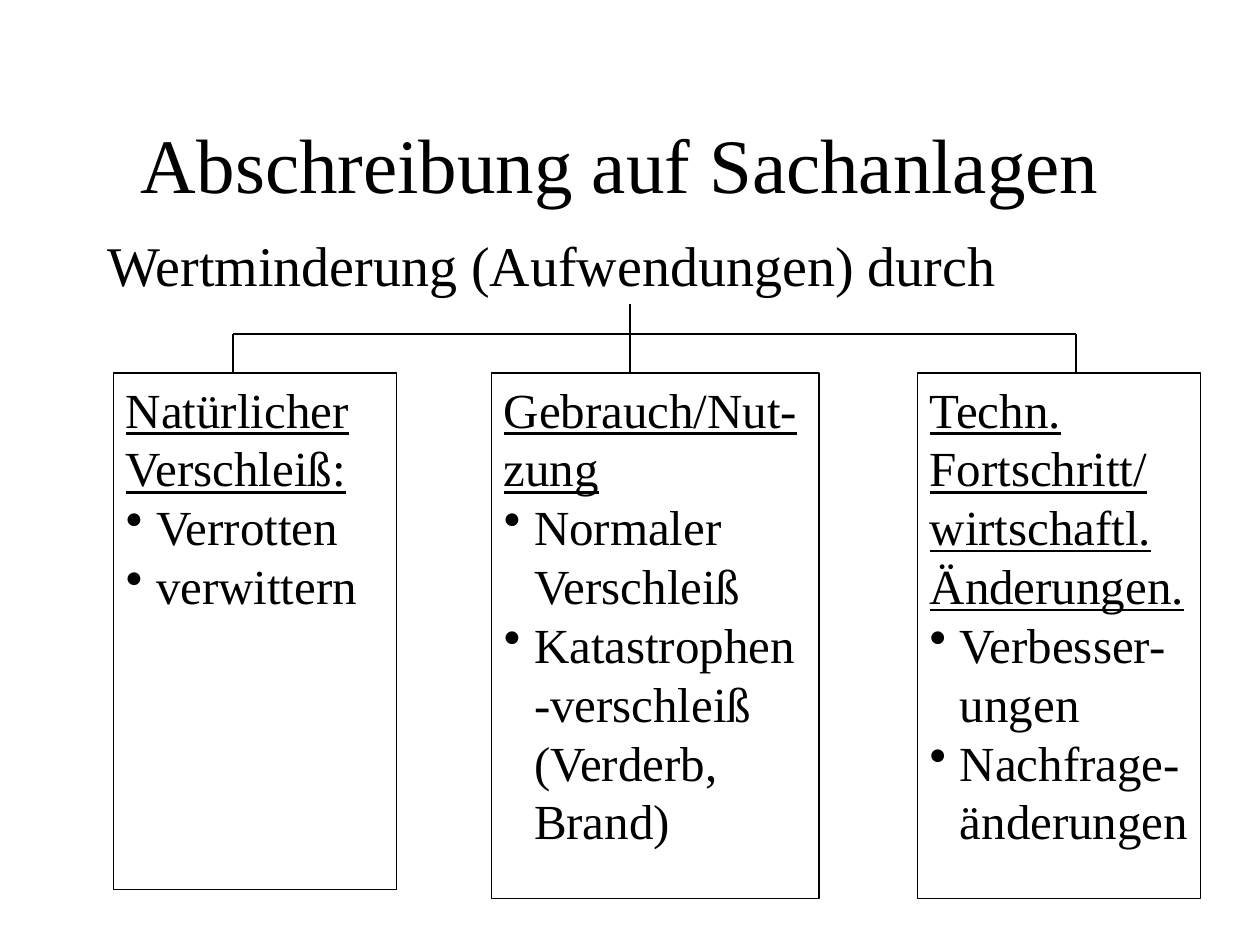
from pptx import Presentation
from pptx.dml.color import RGBColor
from pptx.enum.shapes import MSO_CONNECTOR, MSO_SHAPE
from pptx.enum.text import MSO_ANCHOR, PP_ALIGN
from pptx.oxml.ns import qn
from pptx.util import Inches, Pt
from lxml.etree import SubElement

BLACK = RGBColor(0, 0, 0)
WHITE = RGBColor(255, 255, 255)

BOX_TOP = 2.96
BRANCH_TOP = 2.65
STEM_TOP = 2.41

# left, width, height, heading, causes
CAUSE_BOXES = [
    (0.9, 2.25, 4.1, "Natürlicher Verschleiß:", ["Verrotten", "verwittern"]),
    (3.9, 2.6, 4.17, "Gebrauch/Nut-zung",
     ["Normaler Verschleiß", "Katastrophen-verschleiß (Verderb, Brand)"]),
    (7.28, 2.25, 4.17, "Techn. Fortschritt/ wirtschaftl. Änderungen.",
     ["Verbesser-ungen", "Nachfrage-änderungen"]),
]
LEFT_BRANCH, STEM, RIGHT_BRANCH = 1.85, 5, 8.54


class SlideBuilder:
    font_name = "Times New Roman"
    line_width = Pt(0.75)

    def __init__(self, page):
        self.page = page

    def style(self, para, size, align=PP_ALIGN.LEFT, underline=False):
        para.alignment = align
        para.font.name = self.font_name
        para.font.size = Pt(size)
        para.font.color.rgb = BLACK
        para.font.underline = underline

    def indent(self, para, hanging, bullet=None):
        """Set a hanging indent, with the given bullet or with none."""
        properties = para._p.get_or_add_pPr()
        properties.set("marL", str(Inches(hanging)))
        properties.set("indent", str(-Inches(hanging)))
        # Bullet elements precede the default run properties in the schema.
        mark = SubElement(properties, qn("a:buChar" if bullet else "a:buNone"))
        if bullet:
            mark.set("char", bullet)
        defaults = properties.find(qn("a:defRPr"))
        if defaults is not None:
            defaults.addprevious(mark)

    def placeholder(self, shape, text, left, top, width, height, size, align, anchor):
        shape.left, shape.top = Inches(left), Inches(top)
        shape.width, shape.height = Inches(width), Inches(height)
        frame = shape.text_frame
        frame.text = text
        frame.vertical_anchor = anchor
        para = frame.paragraphs[0]
        self.style(para, size, align)
        return para

    def cause_box(self, left, top, width, height, heading, causes):
        box = self.page.shapes.add_shape(
            MSO_SHAPE.RECTANGLE, Inches(left), Inches(top), Inches(width), Inches(height))
        box.shadow.inherit = False
        box.fill.solid()
        box.fill.fore_color.rgb = WHITE
        box.line.color.rgb = BLACK
        box.line.width = self.line_width
        frame = box.text_frame
        frame.word_wrap = True
        frame.vertical_anchor = MSO_ANCHOR.TOP
        frame.text = "\n".join([heading, *causes])
        title, *items = frame.paragraphs
        self.style(title, 28, underline=True)
        for para in items:
            self.style(para, 28)
            self.indent(para, 0.24, "•")

    def line(self, start_x, start_y, end_x, end_y):
        connector = self.page.shapes.add_connector(
            MSO_CONNECTOR.STRAIGHT, Inches(start_x), Inches(start_y),
            Inches(end_x), Inches(end_y))
        connector.line.color.rgb = BLACK
        connector.line.width = self.line_width
        SubElement(connector._element.spPr, qn("a:effectLst"))


def main():
    deck = Presentation()
    deck.slide_width, deck.slide_height = Inches(10), Inches(7.5)
    page = deck.slides.add_slide(deck.slide_layouts[1])
    builder = SlideBuilder(page)

    builder.placeholder(page.shapes.title, "Abschreibung auf Sachanlagen ",
                        0.75, 0.67, 8.5, 1.25, 44, PP_ALIGN.CENTER, MSO_ANCHOR.MIDDLE)
    intro = builder.placeholder(page.placeholders[1], "Wertminderung (Aufwendungen) durch",
                                0.75, 1.78, 8.5, 4.5, 32, PP_ALIGN.LEFT, MSO_ANCHOR.TOP)
    intro.space_before = Pt(8)
    builder.indent(intro, 0.38)

    for left, width, height, heading, causes in CAUSE_BOXES:
        builder.cause_box(left, BOX_TOP, width, height, heading, causes)

    builder.line(STEM, STEM_TOP, STEM, BOX_TOP)
    builder.line(LEFT_BRANCH, BRANCH_TOP, RIGHT_BRANCH, BRANCH_TOP)
    for branch in (LEFT_BRANCH, RIGHT_BRANCH):
        builder.line(branch, BRANCH_TOP, branch, BOX_TOP)

    deck.save("out.pptx")


if __name__ == "__main__":
    main()
